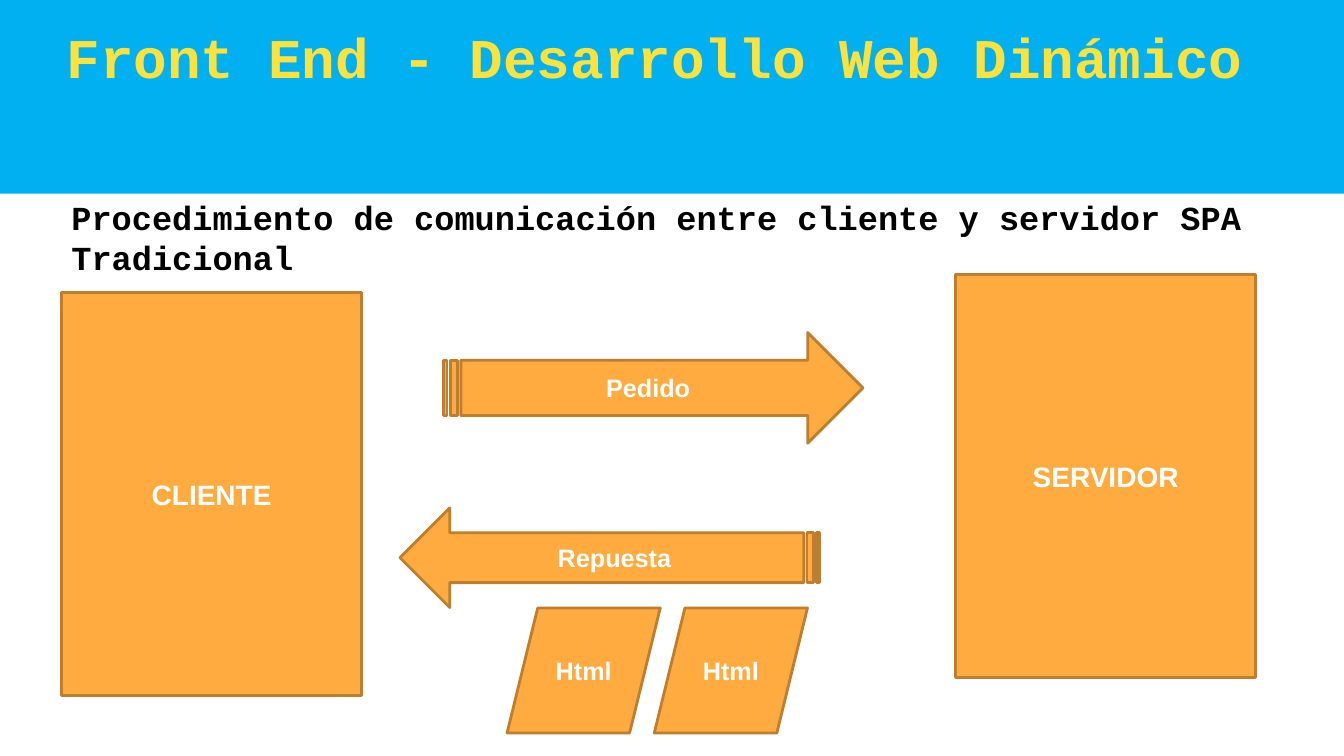
from dataclasses import dataclass

from pptx import Presentation
from pptx.dml.color import RGBColor
from pptx.enum.shapes import MSO_SHAPE
from pptx.enum.text import MSO_ANCHOR, PP_ALIGN
from pptx.shapes.autoshape import Shape
from pptx.slide import Slide
from pptx.text.text import TextFrame
from pptx.util import Cm, Pt

RECT = MSO_SHAPE.RECTANGLE
ARROW = MSO_SHAPE.STRIPED_RIGHT_ARROW
DATA = MSO_SHAPE.FLOWCHART_DATA
TOP, MIDDLE = MSO_ANCHOR.TOP, MSO_ANCHOR.MIDDLE
LEFT, CENTER = PP_ALIGN.LEFT, PP_ALIGN.CENTER

WIDTH, HEIGHT = 33.87, 19.05
BLUE, YELLOW, BLACK, WHITE = "00B0F0", "FDE23D", "000000", "FFFFFF"
ORANGE, BROWN = "FFAB40", "BD7F2F"
MONO, SANS = "Courier New", "Arial"


@dataclass
class Node:
    kind: MSO_SHAPE
    text: str
    left: float
    top: float
    width: float
    height: float
    size: int = 18
    back: bool = False


@dataclass
class Label:
    text: str
    left: float
    top: float
    width: float
    height: float
    size: int
    color: str
    inset: float
    foot: float
    anchor: MSO_ANCHOR


PAGE_TOP, PAGE_STEP = 15.32, 3.71
NODES = [
    Node(RECT, "CLIENTE", 1.55, 7.37, 7.57, 10.16, 20),
    Node(RECT, "SERVIDOR", 24.08, 6.91, 7.57, 10.16, 20),
    Node(ARROW, "Pedido", 11.18, 8.38, 10.57, 2.79),
    Node(ARROW, "Repuesta", 10.08, 12.8, 10.57, 2.51, back=True),
    *(Node(DATA, "Html", 12.78 + i * PAGE_STEP, PAGE_TOP, 3.86, 3.15)
      for i in range(2)),
]
LABELS = [
    Label("Front End - Desarrollo Web Dinámico",
          1.55, 0.43, 30.61, 3.33, 40, YELLOW, 0.13, 0.13, TOP),
    Label("Procedimiento de comunicación entre cliente y servidor SPA Tradicional",
          1.47, 4.57, 30.91, 3.81, 24, BLACK, 0.33, 1.32, MIDDLE),
]


def color(code: str) -> RGBColor:
    return RGBColor.from_string(code)


def write(frame: TextFrame, text: str, font: str, size: int, tint: str,
          align: PP_ALIGN, anchor: MSO_ANCHOR) -> None:
    frame.text = text
    frame.word_wrap = True
    frame.vertical_anchor = anchor
    para = frame.paragraphs[0]
    para.alignment = align
    style = para.runs[0].font
    style.name, style.size, style.bold = font, Pt(size), True
    style.color.rgb = color(tint)


def add_block(slide: Slide, kind: MSO_SHAPE, left: float, top: float,
              width: float, height: float, fill: str) -> Shape:
    """Add a filled shape without shadow or outline."""
    shape = slide.shapes.add_shape(kind, Cm(left), Cm(top), Cm(width), Cm(height))
    shape.shadow.inherit = False
    shape.fill.solid()
    shape.fill.fore_color.rgb = color(fill)
    shape.line.fill.background()
    return shape


def add_node(slide: Slide, node: Node) -> None:
    shape = add_block(slide, node.kind, node.left, node.top,
                      node.width, node.height, ORANGE)
    shape.line.color.rgb = color(BROWN)
    shape.line.width = Pt(2)
    if node.back:
        # Half a turn plus a vertical flip points left and keeps text upright.
        shape.rotation = 180
        shape.element.spPr.xfrm.set("flipV", "1")
    write(shape.text_frame, node.text, SANS, node.size, WHITE, CENTER, MIDDLE)


def add_label(slide: Slide, label: Label) -> None:
    box = slide.shapes.add_textbox(Cm(label.left), Cm(label.top),
                                   Cm(label.width), Cm(label.height))
    frame = box.text_frame
    frame.margin_left = frame.margin_right = frame.margin_top = Cm(label.inset)
    frame.margin_bottom = Cm(label.foot)
    write(frame, label.text, MONO, label.size, label.color, LEFT, label.anchor)


def main() -> None:
    deck = Presentation()
    deck.slide_width, deck.slide_height = Cm(WIDTH), Cm(HEIGHT)
    slide = deck.slides.add_slide(deck.slide_layouts[6])
    add_block(slide, RECT, 0, -0.05, WIDTH, 4.93, BLUE)
    for label in LABELS:
        add_label(slide, label)
    for node in NODES:
        add_node(slide, node)
    deck.save("out.pptx")


if __name__ == "__main__":
    main()
